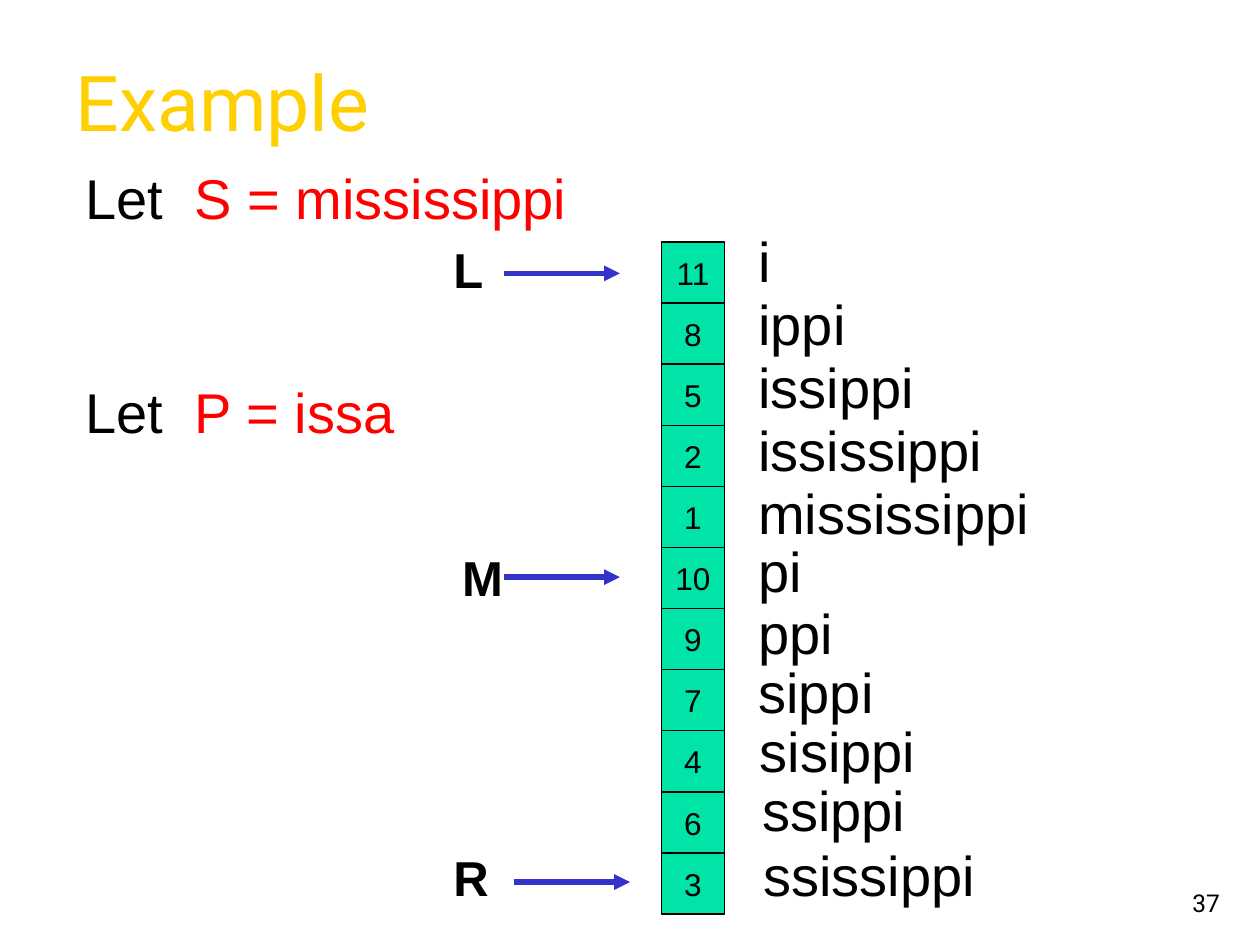
import pptx
import pptx.dml.color
import pptx.enum.shapes
import pptx.enum.text
import pptx.oxml.ns
import pptx.util
from lxml import etree
from pptx.util import Inches

COLORS = {"title": "FFCF01", "text": "000000", "accent": "FF0000",
          "cell": "00E4A8", "arrow": "3333CC"}
ALIGN = pptx.enum.text.PP_ALIGN
ANCHOR = pptx.enum.text.MSO_ANCHOR

# Suffix array entry, suffix, left and top of the suffix label
SUFFIXES = [
    (11, "i", 5.92, 1.75), (8, "ippi", 5.92, 2.25),
    (5, "issippi", 5.92, 2.75), (2, "ississippi", 5.92, 3.25),
    (1, "mississippi", 5.92, 3.75), (10, "pi", 5.92, 4.21),
    (9, "ppi", 5.92, 4.7), (7, "sippi", 5.92, 5.17),
    (4, "sisippi", 5.93, 5.64), (6, "ssippi", 5.95, 6.11),
    (3, "ssissippi", 5.96, 6.62),
]
# Pointer name, label left and top, arrow left and height on the slide
POINTERS = [("L", 3.5, 1.85, 4, 2.17), ("M", 3.57, 4.3, 4, 4.58),
            ("R", 3.5, 6.68, 4.08, 7)]
ARROW_LENGTH = 0.92
CELL_LEFT, CELL_TOP, CELL_WIDTH = 5.25, 1.92, 0.5
CELL_HEIGHT = 4.85 / 10


def color(name):
    return pptx.dml.color.RGBColor.from_string(COLORS[name])


def write_runs(shape, runs, size, font="Arial", bold=False,
               align=ALIGN.LEFT, anchor=ANCHOR.TOP, wrap=True):
    """Fill a shape with one paragraph of (text, colour name) runs."""
    frame = shape.text_frame
    frame.word_wrap = wrap
    frame.vertical_anchor = anchor
    paragraph = frame.paragraphs[0]
    paragraph.alignment = align
    for text, color_name in runs:
        run = paragraph.add_run()
        run.text = text
        run.font.name = font
        run.font.size = pptx.util.Pt(size)
        run.font.bold = bold
        run.font.color.rgb = color(color_name)


def add_text(slide, box, runs, size, **style):
    shape = slide.shapes.add_textbox(*(Inches(value) for value in box))
    write_runs(shape, runs, size, **style)


def add_cell(group, row, number):
    shape = group.shapes.add_shape(
        pptx.enum.shapes.MSO_SHAPE.RECTANGLE,
        Inches(CELL_LEFT), Inches(CELL_TOP + row * CELL_HEIGHT),
        Inches(CELL_WIDTH), Inches(CELL_HEIGHT))
    shape.shadow.inherit = False
    shape.fill.solid()
    shape.fill.fore_color.rgb = color("cell")
    shape.line.color.rgb = color("text")
    shape.line.width = pptx.util.Pt(0.75)
    write_runs(shape, [(str(number), "text")], 18, align=ALIGN.CENTER,
               anchor=ANCHOR.MIDDLE, wrap=False)


def add_arrow(slide, left, top):
    connector = slide.shapes.add_connector(
        pptx.enum.shapes.MSO_CONNECTOR.STRAIGHT, Inches(left), Inches(top),
        Inches(left + ARROW_LENGTH), Inches(top))
    connector.line.color.rgb = color("arrow")
    connector.line.width = pptx.util.Pt(3)
    qn = pptx.oxml.ns.qn
    properties = connector._element.spPr
    etree.SubElement(properties.find(qn("a:ln")), qn("a:tailEnd"),
                     type="triangle")
    etree.SubElement(properties, qn("a:effectLst"))


def main():
    presentation = pptx.Presentation()
    presentation.slide_width = Inches(10)
    presentation.slide_height = Inches(7.5)
    slide = presentation.slides.add_slide(presentation.slide_layouts[6])

    # Title
    add_text(slide, (0.5, 0.17, 9, 1.25), [("Example", "title")], 44,
             font="Roboto", anchor=ANCHOR.MIDDLE)

    # Text and pattern definitions
    for top, definition in ((1.25, "S = mississippi"), (2.95, "P = issa")):
        add_text(slide, (0.58, top, 4.67, 0.64),
                 [("Let  ", "text"), (definition, "accent")], 32)

    # Suffix array with its suffixes
    group = slide.shapes.add_group_shape()
    for row, (number, suffix, left, top) in enumerate(SUFFIXES):
        add_cell(group, row, number)
        add_text(slide, (left, top, 3.75, 0.64), [(suffix, "text")], 32)

    # Binary search pointers
    for name, left, top, arrow_left, arrow_top in POINTERS:
        add_arrow(slide, arrow_left, arrow_top)
        add_text(slide, (left, top, 0.58, 0.57), [(name, "text")], 28,
                 bold=True)

    # Slide number
    add_text(slide, (7.7, 6.83, 2.08, 0.5), [("37", "text")], 14,
             font="Roboto", align=ALIGN.RIGHT, anchor=ANCHOR.BOTTOM)

    presentation.save("out.pptx")


if __name__ == "__main__":
    main()
